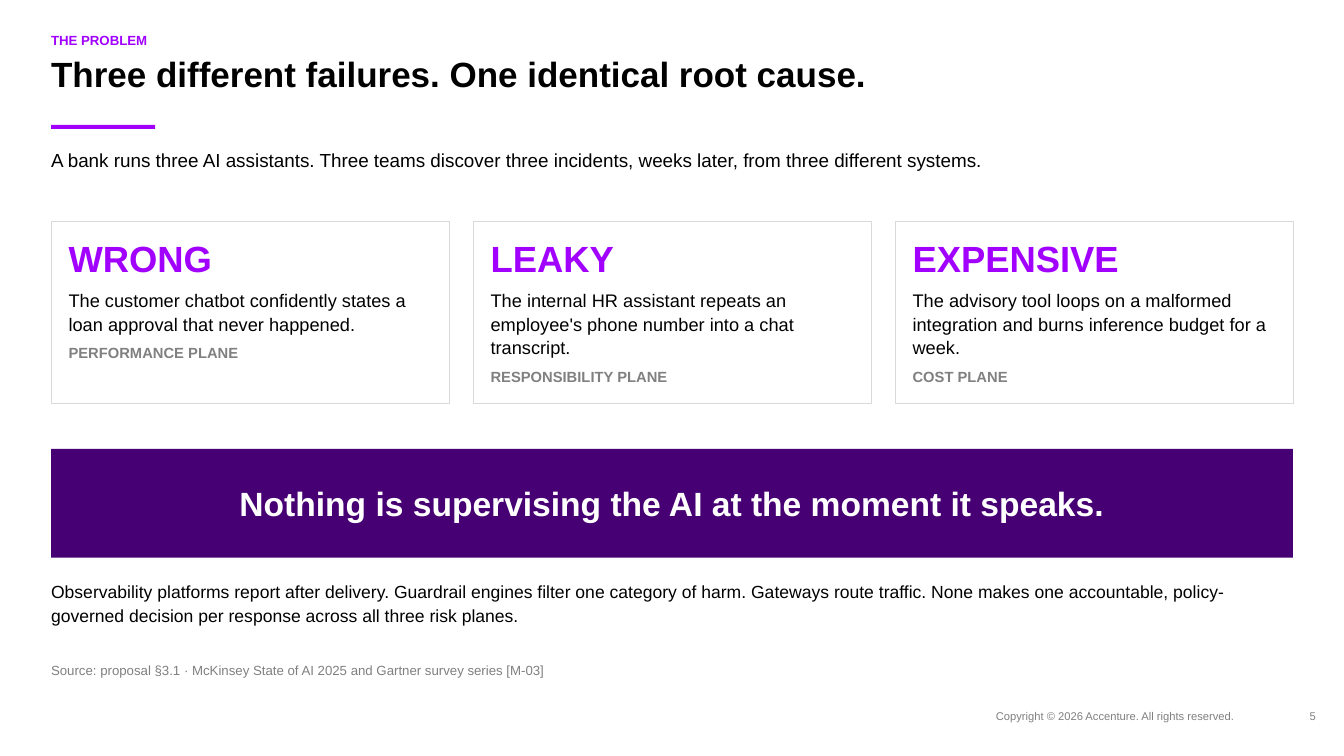
from dataclasses import dataclass
from typing import Optional

from pptx import Presentation
from pptx import util as u
from pptx.dml.color import RGBColor
from pptx.enum import shapes, text

PURPLE = RGBColor(0xA1, 0x00, 0xFF)
DEEP_PURPLE = RGBColor(0x46, 0x00, 0x73)
BLACK = RGBColor(0x00, 0x00, 0x00)
WHITE = RGBColor(0xFF, 0xFF, 0xFF)
GRAY = RGBColor(0x80, 0x80, 0x80)
RULE_GRAY = RGBColor(0xD9, 0xD9, 0xD9)

FONT = "Arial"
LEFT, WIDTH = 0.76, 18.48
CARD_TOP, CARD_W, CARD_H, CARD_GAP = 3.3, 5.92, 2.7, 0.36


@dataclass
class Box:
    left: float
    top: float
    width: float
    height: float


@dataclass
class Para:
    text: str
    size: float
    color: RGBColor = BLACK
    bold: bool = False
    spacing: Optional[float] = None
    before: Optional[float] = None
    align: text.PP_ALIGN = text.PP_ALIGN.LEFT


@dataclass
class Card:
    title: str
    body: str
    plane: str


LABELS = [
    (Box(LEFT, 0.48, WIDTH, 0.3), Para("THE PROBLEM", 14.2, PURPLE, True)),
    (Box(LEFT, 0.82, WIDTH, 0.95),
     Para("Three different failures. One identical root cause.", 37.5, bold=True, spacing=0.95)),
    (Box(LEFT, 2.2, WIDTH, 0.39),
     Para("A bank runs three AI assistants. Three teams discover three incidents, "
          "weeks later, from three different systems.", 20.2, spacing=1.05)),
    (Box(LEFT, 8.62, WIDTH, 0.8),
     Para("Observability platforms report after delivery. Guardrail engines filter one "
          "category of harm. Gateways route traffic. None makes one accountable, "
          "policy-governed decision per response across all three risk planes.",
          18.8, spacing=1.1)),
    (Box(LEFT, 9.86, WIDTH, 0.3),
     Para("Source: proposal §3.1 · McKinsey State of AI 2025 and Gartner survey series [M-03]",
          14.2, GRAY)),
    (Box(14.82, 10.55, 3.93, 0.24),
     Para("Copyright © 2026 Accenture. All rights reserved.", 12, GRAY)),
    (Box(18.98, 10.55, 0.6, 0.24), Para("5", 12, GRAY, align=text.PP_ALIGN.RIGHT)),
]

CARDS = [
    Card("WRONG", "The customer chatbot confidently states a loan approval that never happened.",
         "PERFORMANCE PLANE"),
    Card("LEAKY", "The internal HR assistant repeats an employee's phone number into a chat transcript.",
         "RESPONSIBILITY PLANE"),
    Card("EXPENSIVE", "The advisory tool loops on a malformed integration and burns inference "
         "budget for a week.", "COST PLANE"),
]


def lengths(box: Box) -> list[u.Length]:
    return [u.Inches(v) for v in (box.left, box.top, box.width, box.height)]


def write(sp, paras: list[Para], insets=(0, 0, 0, 0), anchor=text.MSO_ANCHOR.TOP) -> None:
    tf = sp.text_frame
    left, top, right, bottom = map(u.Inches, insets)
    frame = {"word_wrap": True, "vertical_anchor": anchor, "margin_left": left,
             "margin_top": top, "margin_right": right, "margin_bottom": bottom}
    for name, value in frame.items():
        setattr(tf, name, value)
    for i, para in enumerate(paras):
        p = tf.add_paragraph() if i else tf.paragraphs[0]
        p.alignment = para.align
        if para.spacing is not None:
            p.line_spacing = para.spacing
        if para.before is not None:
            p.space_before = u.Pt(para.before)
        r = p.add_run()
        r.text = para.text
        for name, value in {"name": FONT, "size": u.Pt(para.size), "bold": para.bold}.items():
            setattr(r.font, name, value)
        r.font.color.rgb = para.color


def add_label(s, box: Box, para: Para) -> None:
    sp = s.shapes.add_textbox(*lengths(box))
    write(sp, [para])
    sp.text_frame.auto_size = text.MSO_AUTO_SIZE.SHAPE_TO_FIT_TEXT


def add_rect(s, box: Box, fill: RGBColor, line: Optional[RGBColor] = None):
    sp = s.shapes.add_shape(shapes.MSO_SHAPE.RECTANGLE, *lengths(box))
    sp.shadow.inherit = False
    sp.fill.solid()
    sp.fill.fore_color.rgb = fill
    if line is None:
        sp.line.fill.background()
    else:
        sp.line.color.rgb = line
        sp.line.width = u.Pt(0.75)
    return sp


def add_card(s, index: int, card: Card) -> None:
    box = Box(LEFT + index * (CARD_W + CARD_GAP), CARD_TOP, CARD_W, CARD_H)
    sp = add_rect(s, box, WHITE, RULE_GRAY)
    write(sp, [
        Para(card.title, 39, PURPLE, True),
        Para(card.body, 19.5, spacing=1.08, before=8),
        Para(card.plane, 15.8, GRAY, True, before=10),
    ], (0.26, 0.22, 0.26, 0.06))


def main() -> None:
    prs = Presentation()
    prs.slide_width, prs.slide_height = u.Inches(20), u.Inches(11.25)
    s = prs.slides.add_slide(prs.slide_layouts[6])
    for box, para in LABELS:
        add_label(s, box, para)
    add_rect(s, Box(LEFT, 1.86, 1.55, 0.06), PURPLE)
    for i, card in enumerate(CARDS):
        add_card(s, i, card)
    banner = add_rect(s, Box(LEFT, 6.68, WIDTH, 1.62), DEEP_PURPLE)
    write(banner, [Para("Nothing is supervising the AI at the moment it speaks.", 36, WHITE, True,
                        align=text.PP_ALIGN.CENTER)],
          (0.36, 0.06, 0.36, 0.06), text.MSO_ANCHOR.MIDDLE)
    prs.save("out.pptx")


if __name__ == "__main__":
    main()
